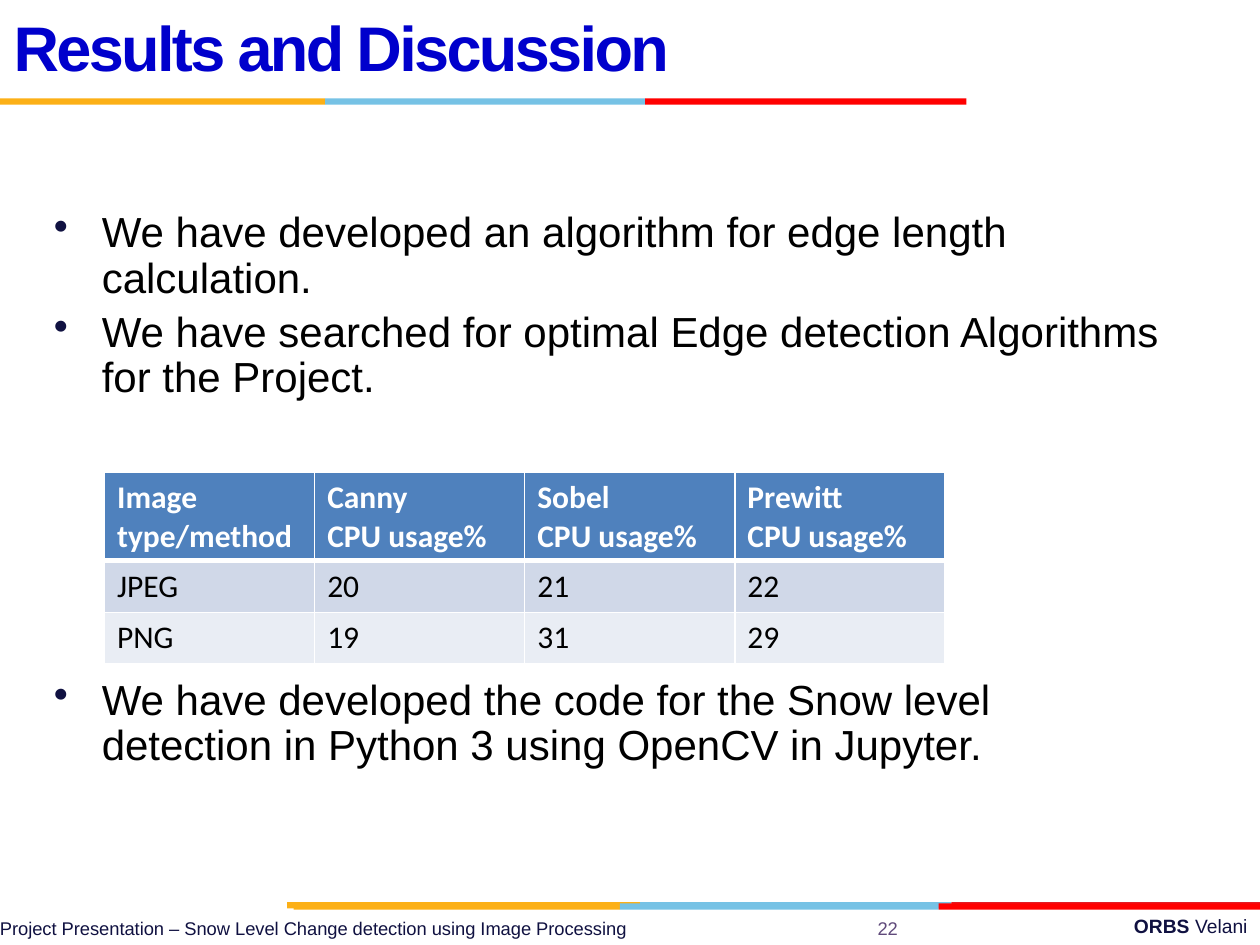
from lxml import etree
from pptx import Presentation
from pptx import util as u
from pptx.dml.color import RGBColor
from pptx.enum import shapes, text
from pptx.oxml import ns

NAVY, YELLOW, BLUE, RED = "101141", "FCB017", "76C2E5", "FF0000"
BAR_HEIGHT = 0.05
BULLET_INDENT = u.Inches(0.38)


def color(value):
    return RGBColor.from_string(value)


def style(paragraph, size, fill, font="Arial", bold=False):
    paragraph.font.size = u.Pt(size)
    paragraph.font.name = font
    paragraph.font.bold = bold
    paragraph.font.color.rgb = color(fill)


def add_bars(page, top, edges, fills):
    for left, right, fill in zip(edges, edges[1:], fills):
        bar = page.shapes.add_shape(
            shapes.MSO_SHAPE.RECTANGLE, u.Inches(left), u.Inches(top),
            u.Inches(right - left), u.Inches(BAR_HEIGHT))
        bar.shadow.inherit = False
        bar.fill.solid()
        bar.fill.fore_color.rgb = color(fill)
        bar.line.fill.background()


def add_box(page, left, top, width, height, inset=True):
    box = page.shapes.add_textbox(*map(u.Inches, (left, top, width, height)))
    frame = box.text_frame
    frame.word_wrap = True
    if not inset:
        frame.margin_left = frame.margin_right = 0
        frame.margin_top = frame.margin_bottom = 0
    return frame


def add_label(page, place, words, size, fill, align=text.PP_ALIGN.LEFT):
    para = add_box(page, *place, inset=False).paragraphs[0]
    para.text = words
    para.alignment = align
    style(para, size, fill)


def add_title(page, words):
    frame = add_box(page, 0.01, 0, 6.92, 0.83)
    frame.vertical_anchor = text.MSO_ANCHOR.MIDDLE
    para = frame.paragraphs[0]
    para.line_spacing = u.Pt(36)
    style(para, 36, "0000CC", bold=True)
    span = para.add_run()
    span.text = words
    span._r.get_or_add_rPr().set("spc", "-150")


def add_brand(page, strong, plain):
    para = add_box(page, 3.58, 7.21, 6.42, 0.29).paragraphs[0]
    para.alignment = text.PP_ALIGN.RIGHT
    style(para, 11, NAVY)
    for words, bold in ((strong, True), (plain, False)):
        span = para.add_run()
        span.text = words
        span.font.bold = bold


def add_bullets(page, top, height, items):
    frame = add_box(page, 0.33, top, 9, height)
    for index, item in enumerate(items):
        para = frame.add_paragraph() if index else frame.paragraphs[0]
        para.text = item
        para.line_spacing = 0.9
        para.space_before = u.Pt(5)
        style(para, 24, "000000")
        properties = para._p.get_or_add_pPr()
        properties.set("marL", str(BULLET_INDENT))
        properties.set("indent", str(-BULLET_INDENT))
        tint = etree.Element(ns.qn("a:buClr"))
        etree.SubElement(tint, ns.qn("a:srgbClr"), val=NAVY)
        mark = etree.Element(ns.qn("a:buChar"), char="•")
        defaults = properties.find(ns.qn("a:defRPr"))
        defaults.addprevious(tint)
        defaults.addprevious(mark)


def add_borders(cell, widths):
    properties = cell._tc.get_or_add_tcPr()
    for position, (side, width) in enumerate(widths.items()):
        line = etree.Element(ns.qn(f"a:ln{side}"), w=str(u.Pt(width)))
        fill = etree.SubElement(line, ns.qn("a:solidFill"))
        etree.SubElement(fill, ns.qn("a:srgbClr"), val="FFFFFF")
        properties.insert(position, line)


def add_results(page, rows):
    heights = (0.7, 0.41, 0.41)
    fills = ("4F81BD", "D0D8E8", "E9EDF4")
    table = page.shapes.add_table(
        len(rows), len(rows[0]), u.Inches(0.83), u.Inches(3.75),
        u.Inches(6.67), u.Inches(sum(heights))).table
    for index, values in enumerate(rows):
        header = index == 0
        table.rows[index].height = u.Inches(heights[index])
        for column, value in enumerate(values):
            cell = table.cell(index, column)
            cell.text = value
            cell.fill.solid()
            cell.fill.fore_color.rgb = color(fills[index])
            add_borders(cell, {"L": 1, "R": 1, "T": 3 if index == 1 else 1,
                               "B": 3 if header else 1})
            for para in cell.text_frame.paragraphs:
                style(para, 18, "FFFFFF" if header else "000000", "Calibri", header)


def main():
    deck = Presentation()
    deck.slide_width, deck.slide_height = u.Inches(10), u.Inches(7.5)
    page = deck.slides.add_slide(deck.slide_layouts[6])

    add_brand(page, "ORBS ", "Velani")
    add_bars(page, 7.16, (2.28, 5.08, 7.55, 10), (YELLOW, BLUE, "E31C24"))
    add_bars(page, 7.17, (2.33, 4.92, 7.45, 10), (YELLOW, BLUE, RED))
    add_bars(page, 0.78, (0, 2.58, 5.12, 7.67), (YELLOW, BLUE, RED))
    add_label(page, (6.67, 7.28, 0.75, 0.18), "22", 10.5, "604A7B",
              text.PP_ALIGN.CENTER)
    add_label(page, (0, 7.28, 6.54, 0.18),
              "Project Presentation – Snow Level Change detection using Image Processing",
              10.5, NAVY)

    add_bullets(page, 1.63, 1.65, [
        "We have developed an algorithm for edge length calculation.",
        "We have searched for optimal Edge detection Algorithms for the Project.",
    ])
    add_bullets(page, 5.34, 0.9, [
        "We have developed the code for the Snow level detection in Python 3 "
        "using OpenCV in Jupyter.",
    ])
    add_title(page, "Results and Discussion")
    methods = ("Canny", "Sobel", "Prewitt")
    add_results(page, [
        ["Image type/method"] + [f"{method}\nCPU usage%" for method in methods],
        ["JPEG", "20", "21", "22"],
        ["PNG", "19", "31", "29"],
    ])
    deck.save("out.pptx")


if __name__ == "__main__":
    main()
